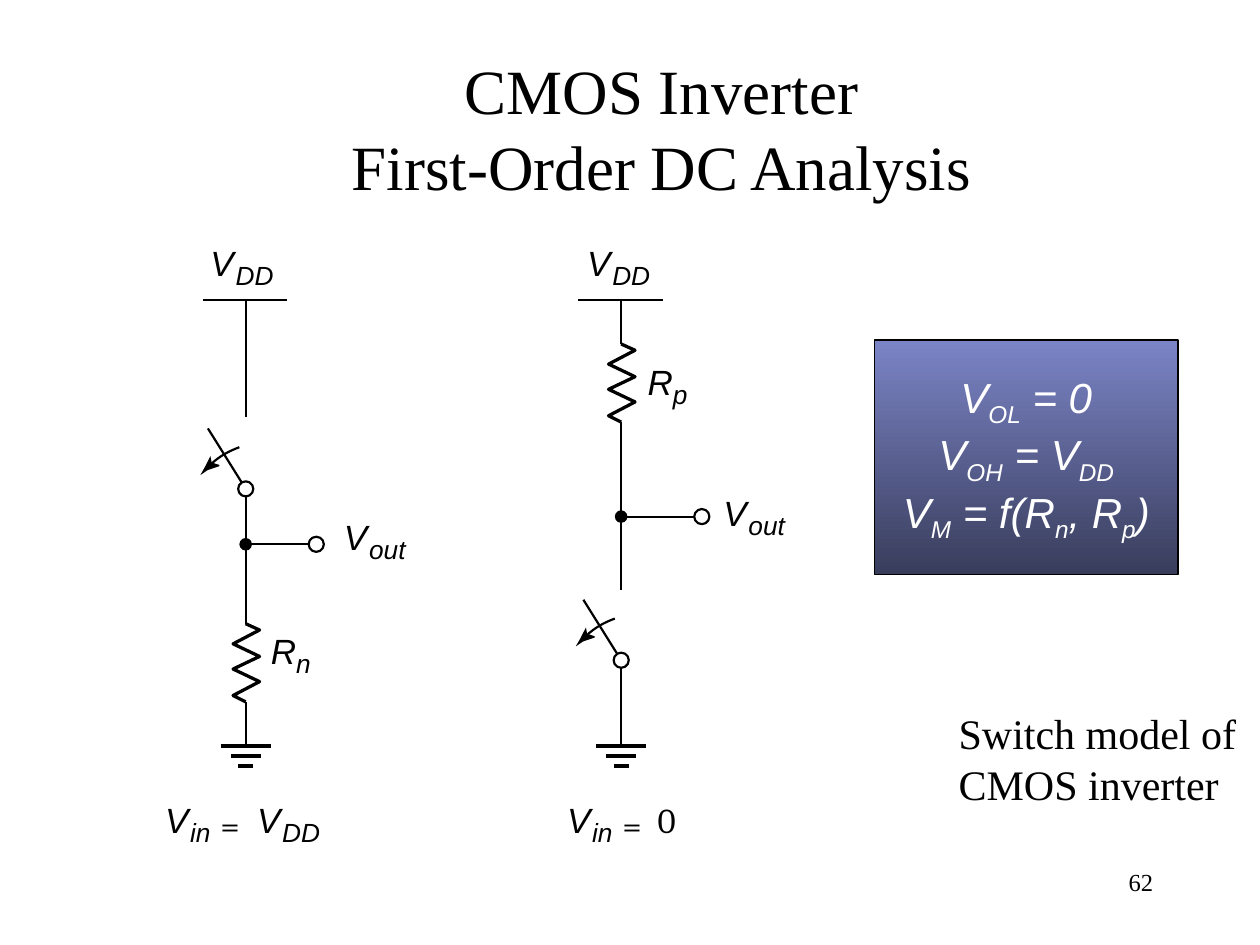
"""Build the CMOS inverter switch-model slide with two circuits and their results."""
from lxml import etree
from pptx import Presentation
from pptx import util as u
from pptx.dml.color import RGBColor
from pptx.enum import shapes, text
from pptx.oxml.ns import qn

PX = 9144
BLACK = RGBColor(0x00, 0x00, 0x00)
WHITE = RGBColor(0xFF, 0xFF, 0xFF)
BLUE_TOP = RGBColor(0x7B, 0x84, 0xC6)
BLUE_BASE = RGBColor(0x39, 0x3D, 0x5C)
THIN, THICK = 1.25, 1.87

SERIF = {"name": "Times New Roman", "italic": False}
SYMBOL = {"name": "Cambria", "italic": False, "size": u.Pt(20)}
LETTER = {"name": "Arial", "italic": True, "size": u.Pt(20)}
INDEX = {**LETTER, "size": u.Pt(15)}
RESULT = {**LETTER, "size": u.Pt(24)}


def paint(shape, fill=None, width=None):
    shape.shadow.inherit = False
    if fill is None:
        shape.fill.background()
    else:
        shape.fill.solid()
        shape.fill.fore_color.rgb = fill
    if width is None:
        shape.line.fill.background()
    else:
        shape.line.color.rgb = BLACK
        shape.line.width = u.Pt(width)


def write(box, lines, style, color=BLACK, align=text.PP_ALIGN.LEFT, margins=(10, 5)):
    frame = box.text_frame
    frame.margin_left = frame.margin_right = margins[0] * PX
    frame.margin_top = frame.margin_bottom = margins[1] * PX
    frame.word_wrap = False
    for number, line in enumerate(lines):
        para = frame.add_paragraph() if number else frame.paragraphs[0]
        para.alignment = align
        for part, words in enumerate(line.split("_")):
            if not words:
                continue
            span = para.add_run()
            span.text = words
            for name, value in style.items():
                setattr(span.font, name, value)
            span.font.color.rgb = color
            if part % 2:
                span._r.get_or_add_rPr().set("baseline", "-25000")


deck = Presentation()
deck.slide_width, deck.slide_height = 1000 * PX, 750 * PX
page = deck.slides.add_slide(deck.slide_layouts[5])

title = page.shapes.title
title.left, title.top, title.width, title.height = [n * PX for n in (50, 55, 950, 92)]
title.text_frame.text = "CMOS Inverter\vFirst-Order DC Analysis"
title.text_frame.auto_size = text.MSO_AUTO_SIZE.NONE
title.text_frame.vertical_anchor = text.MSO_ANCHOR.MIDDLE
title.text_frame.paragraphs[0].alignment = text.PP_ALIGN.CENTER
for span in title.text_frame.paragraphs[0].runs:
    for name, value in {**SERIF, "size": u.Pt(36)}.items():
        setattr(span.font, name, value)
    span.font.color.rgb = BLACK

number = page.shapes.add_textbox(717 * PX, 683 * PX, 208 * PX, 50 * PX)
write(number, ["62"], {**SERIF, "size": u.Pt(14)}, align=text.PP_ALIGN.RIGHT)

results = page.shapes.add_shape(
    shapes.MSO_SHAPE.RECTANGLE, 694 * PX, 270 * PX, 241 * PX, 186 * PX)
paint(results, WHITE, 1)
results.fill.gradient()
results.fill.gradient_angle = 270
for stop, color in zip(results.fill.gradient_stops, (BLUE_TOP, BLUE_BASE)):
    stop.color.rgb = color
results.text_frame.vertical_anchor = text.MSO_ANCHOR.MIDDLE
write(results, ["V_OL_ = 0", "V_OH_ = V_DD_", "V_M_ = f(R_n_, R_p_)"],
      RESULT, WHITE, text.PP_ALIGN.CENTER)

RAIL, GROUND = 238, 592
SWING = (0, 11, -10, 11, -10, 11, -10, 0)
STEPS = (0, 5, 16, 26, 36, 46, 57, 62)
ARC = ((-5, -33), (-13, -30), (-21, -26), (-28, -19))
ARROW = ((-27, -21), (-21, -19), (-21, -18), (-30, -15), (-36, -11), (-32, -18), (-28, -26))
circuits = [
    {"x": 195, "node": 432, "out": 245, "pivot": 388, "resistor": 495,
     "wires": ((RAIL, 331), (388, 495), (557, GROUND))},
    {"x": 493, "node": 410, "out": 551, "pivot": 524, "resistor": 273,
     "wires": ((RAIL, 273), (335, 468), (524, GROUND))},
]
drawing = page.shapes.add_group_shape().shapes

for circuit in circuits:
    x, node, out, pivot = [circuit[key] for key in ("x", "node", "out", "pivot")]

    lines = [(x, start, x, end, THIN) for start, end in circuit["wires"]]
    lines += [(x - 34, RAIL, x + 33, RAIL, THIN), (x, node, out, node, THIN),
              (x, pivot, x - 30, pivot - 48, THIN)]
    lines += [(x - half, GROUND + 8 * row, x + half, GROUND + 8 * row, THICK)
              for row, half in enumerate((20, 12, 6))]
    for *ends, width in lines:
        wire = drawing.add_connector(
            shapes.MSO_CONNECTOR.STRAIGHT, *[end * PX for end in ends])
        wire.line.color.rgb = BLACK
        wire.line.width = u.Pt(width)
        etree.SubElement(wire._element.spPr, qn("a:effectLst"))

    zigzag = [(x + dx, circuit["resistor"] + dy) for dx, dy in zip(SWING, STEPS)]
    swing = []
    for step in range(9):
        t = step / 8
        weights = ((1 - t) ** 3, 3 * t * (1 - t) ** 2, 3 * t * t * (1 - t), t ** 3)
        swing.append((x + sum(w * p[0] for w, p in zip(weights, ARC)),
                      pivot + sum(w * p[1] for w, p in zip(weights, ARC))))
    arrow = [(x + dx, pivot + dy) for dx, dy in ARROW]
    for points, closed, fill, width in ((zigzag, False, None, THICK),
                                        (swing, False, None, THIN),
                                        (arrow, True, BLACK, None)):
        points = [(round(a * PX), round(b * PX)) for a, b in points]
        outline = drawing.build_freeform(*points[0], scale=1.0)
        outline.add_line_segments(points[1:], close=closed)
        paint(outline.convert_to_shape(), fill, width)

    for center, middle, size, fill, width in ((x, node, 10, BLACK, None),
                                              (out + 6, node, 12, None, THIN),
                                              (x, pivot, 12, WHITE, THIN)):
        circle = drawing.add_shape(
            shapes.MSO_SHAPE.OVAL, (center - size // 2) * PX, (middle - size // 2) * PX,
            size * PX, size * PX)
        paint(circle, fill, width)

labels = [("V", "DD", 167, 192), ("V", "DD", 466, 192), ("V", "in", 131, 634),
          ("V", "DD", 204, 634), ("V", "in", 450, 634), ("V", "out", 273, 409),
          ("V", "out", 574, 390), ("R", "n", 215, 500), ("R", "p", 514, 286)]
pieces = [("=", 175, 638, 16, SYMBOL), ("=", 494, 638, 16, SYMBOL), ("0", 522, 634, 17, SYMBOL)]
for letter, index, left, top in labels:
    pieces.append((letter, left, top, 22, LETTER))
    pieces.append((index, left + 20, top + 14, min(17 * len(index), 34), INDEX))
for words, left, top, width, style in pieces:
    height = 33 if style["size"] == u.Pt(20) else 25
    label = drawing.add_textbox(left * PX, top * PX, width * PX, height * PX)
    write(label, [words], style, margins=(0, 0))
    label.text_frame.auto_size = text.MSO_AUTO_SIZE.SHAPE_TO_FIT_TEXT

caption = page.shapes.add_textbox(751 * PX, 557 * PX, 248 * PX, 90 * PX)
write(caption, ["Switch model of", "CMOS inverter"], {**SERIF, "size": u.Pt(24)})
caption.text_frame.auto_size = text.MSO_AUTO_SIZE.SHAPE_TO_FIT_TEXT

deck.save("out.pptx")
